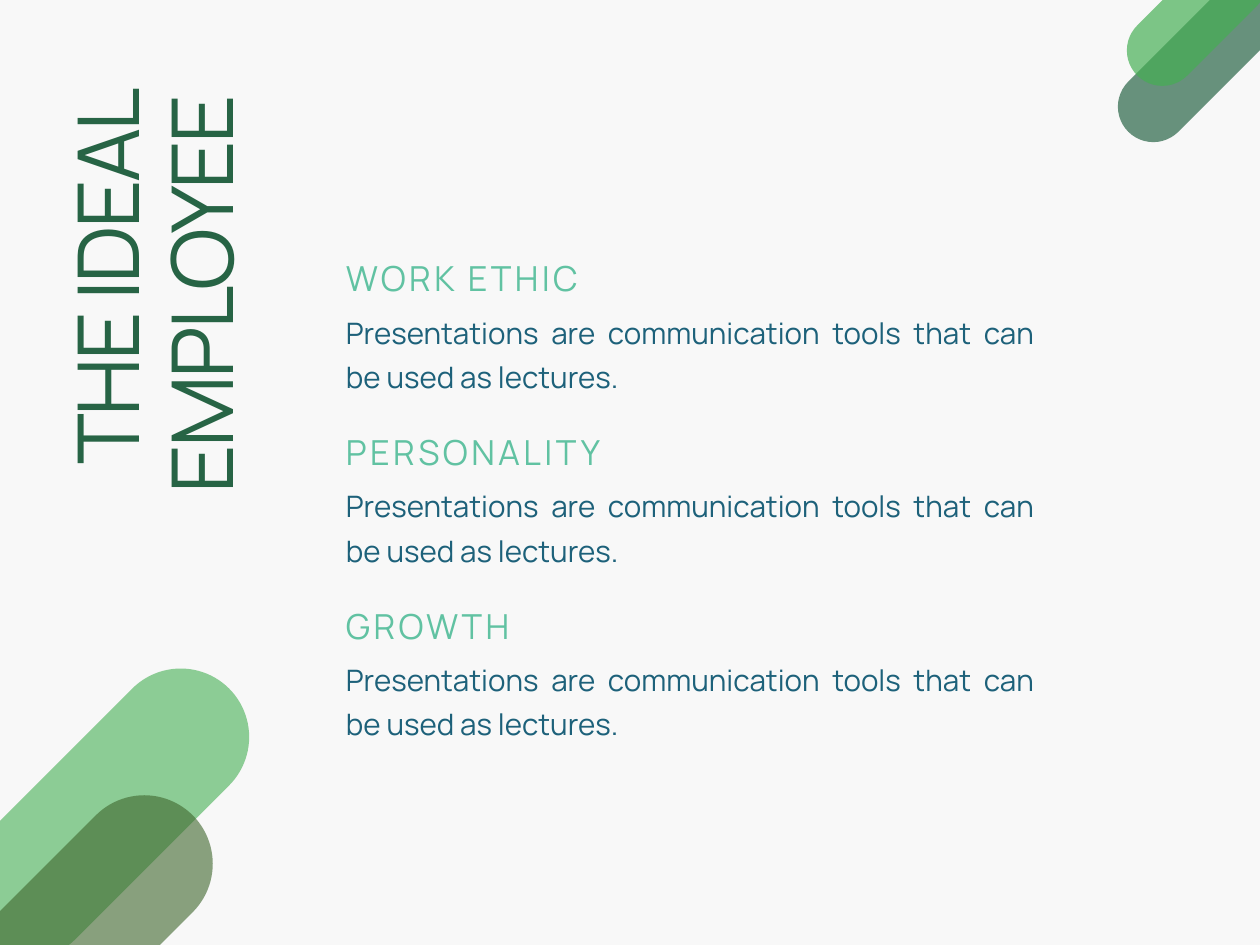
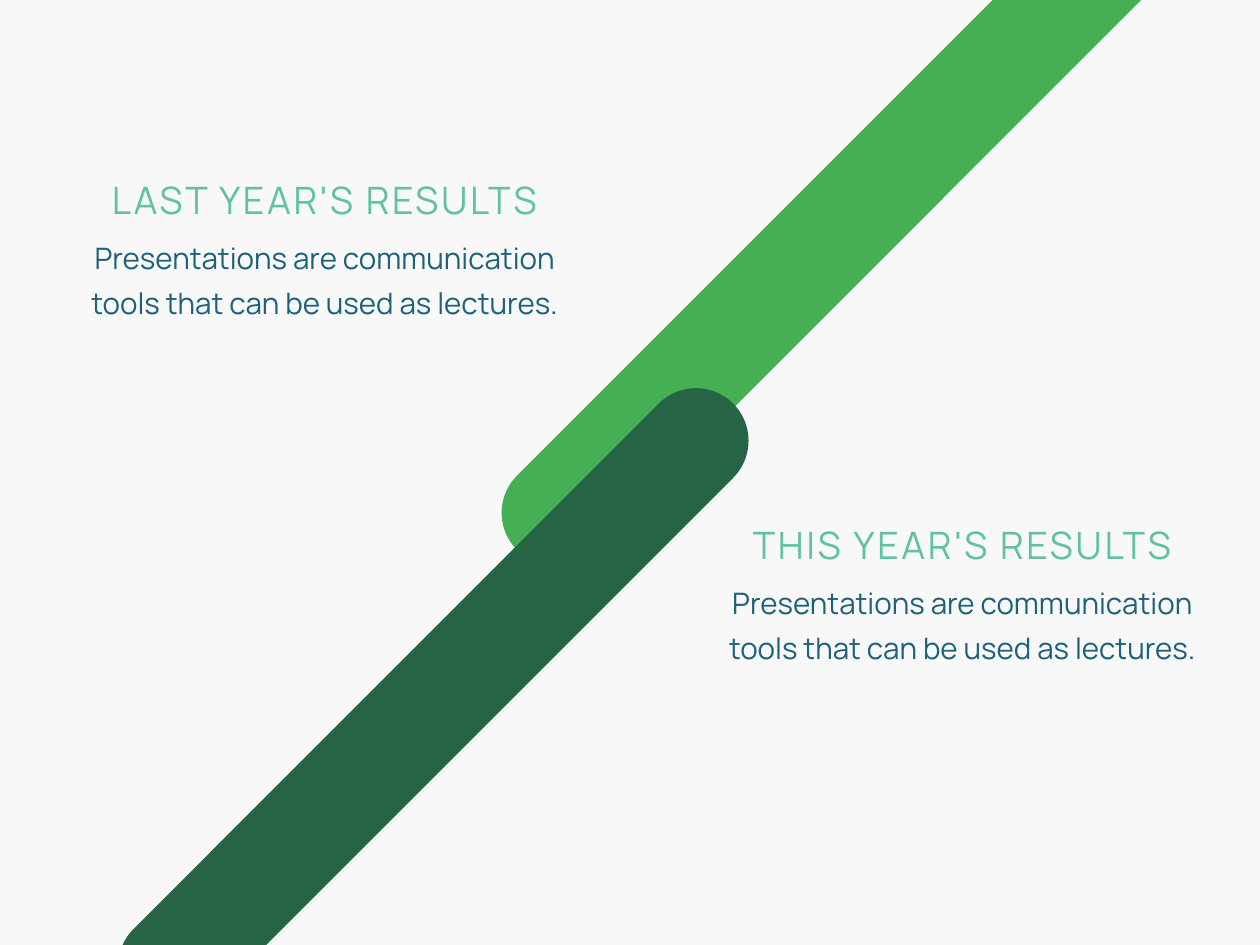
from dataclasses import dataclass

from lxml.etree import SubElement
from pptx import Presentation
from pptx.dml.color import RGBColor
from pptx.enum.shapes import MSO_SHAPE as Shape
from pptx.enum.text import MSO_AUTO_SIZE as AutoSize, PP_ALIGN as Align
from pptx.oxml.ns import qn
from pptx.slide import Slide
from pptx.util import Inches, Pt

BACKGROUND = RGBColor(0xF8, 0xF8, 0xF8)
LEAF = RGBColor(0x45, 0xAF, 0x53)
FOREST = RGBColor(0x27, 0x64, 0x45)
OLIVE = RGBColor(0x3E, 0x66, 0x2C)
MINT = RGBColor(0x61, 0xC2, 0xA2)
TEAL = RGBColor(0x1D, 0x61, 0x7A)

FONT = "Manrope"
DIAGONAL = 315
BODY = "Presentations are communication tools that can be used as lectures."


@dataclass(frozen=True)
class TextStyle:
    size: float
    color: RGBColor
    line: float
    align: Align
    tracking: float = 0


@dataclass(frozen=True)
class Bar:
    left: float
    top: float
    width: float
    height: float
    color: RGBColor
    opacity: int = 100


@dataclass(frozen=True)
class Block:
    heading: str
    left: float
    top: float


@dataclass(frozen=True)
class BlockStyle:
    heading: TextStyle
    body: TextStyle
    width: float
    heading_height: float
    body_height: float
    body_offset: float


TITLE = TextStyle(52, FOREST, 57.2, Align.RIGHT, -1.6)
QUALITY_STYLE = BlockStyle(
    TextStyle(21, MINT, 27.3, Align.LEFT, 2.1),
    TextStyle(18, TEAL, 27, Align.JUSTIFY),
    5.83, 0.36, 0.71, 0.44,
)
RESULT_STYLE = BlockStyle(
    TextStyle(23, MINT, 27.6, Align.CENTER, 1.6),
    TextStyle(18, TEAL, 27, Align.CENTER),
    4, 0.38, 1.09, 0.46,
)

QUALITIES = [
    Block(heading, 2.93, 2.15 + 1.47 * i)
    for i, heading in enumerate(["WORK ETHIC", "PERSONALITY", "GROWTH"])
]
RESULTS = [
    Block("LAST YEAR'S RESULTS", 0.75, 1.5),
    Block("THIS YEAR'S RESULTS", 6.15, 4.42),
]
CORNER_BARS = [
    Bar(-0.62, 6.31, 3, 1.16, LEAF, 60),
    Bar(-1.5, 7.62, 3.67, 1.16, OLIVE, 60),
    Bar(9.3, 0.2, 1.74, 0.6, FOREST, 69),
    Bar(9.42, -0.17, 1.44, 0.6, LEAF, 69),
]
DIVIDER_BARS = [
    Bar(3.26, 1.51, 7.64, 0.89, LEAF),
    Bar(0.08, 5.51, 7.18, 0.89, FOREST),
]


def add_text(s: Slide, text: str, left: float, top: float, width: float,
             height: float, style: TextStyle, rotation: float = 0) -> None:
    sp = s.shapes.add_textbox(Inches(left), Inches(top), Inches(width), Inches(height))
    sp.rotation = rotation
    tf = sp.text_frame
    tf.margin_left = tf.margin_right = tf.margin_top = tf.margin_bottom = 0
    tf.word_wrap = True
    tf.auto_size = AutoSize.SHAPE_TO_FIT_TEXT
    tf.text = text
    p = tf.paragraphs[0]
    p.alignment = style.align
    p.line_spacing = Pt(style.line)
    r = p.runs[0]
    r.font.name = FONT
    r.font.size = Pt(style.size)
    r.font.color.rgb = style.color
    if style.tracking:
        r.font._element.set("spc", str(round(style.tracking * 100)))


def add_bar(s: Slide, bar: Bar) -> None:
    sp = s.shapes.add_shape(Shape.ROUNDED_RECTANGLE, Inches(bar.left), Inches(bar.top),
                            Inches(bar.width), Inches(bar.height))
    sp.adjustments[0] = 0.5
    sp.rotation = DIAGONAL
    sp.shadow.inherit = False
    sp.line.fill.background()
    sp.fill.solid()
    sp.fill.fore_color.rgb = bar.color
    if bar.opacity < 100:
        color = sp._element.spPr.find(qn("a:solidFill"))[0]
        SubElement(color, qn("a:alpha")).set("val", str(bar.opacity * 1000))


def add_block(s: Slide, block: Block, style: BlockStyle) -> None:
    add_text(s, block.heading, block.left, block.top, style.width,
             style.heading_height, style.heading)
    add_text(s, BODY, block.left, block.top + style.body_offset, style.width,
             style.body_height, style.body)


def add_slide(prs: Presentation, bars: list[Bar], blocks: list[Block],
              style: BlockStyle) -> Slide:
    s = prs.slides.add_slide(prs.slide_layouts[6])
    s.background.fill.solid()
    s.background.fill.fore_color.rgb = BACKGROUND
    for bar in bars:
        add_bar(s, bar)
    for block in blocks:
        add_block(s, block, style)
    return s


def main() -> None:
    prs = Presentation()
    prs.slide_width = Inches(10.67)
    prs.slide_height = Inches(8)
    s = add_slide(prs, CORNER_BARS, QUALITIES, QUALITY_STYLE)
    add_text(s, "THE IDEAL EMPLOYEE", -0.76, 2.09, 4.18, 1.6, TITLE, rotation=270)
    add_slide(prs, DIVIDER_BARS, RESULTS, RESULT_STYLE)
    prs.save("out.pptx")


if __name__ == "__main__":
    main()
